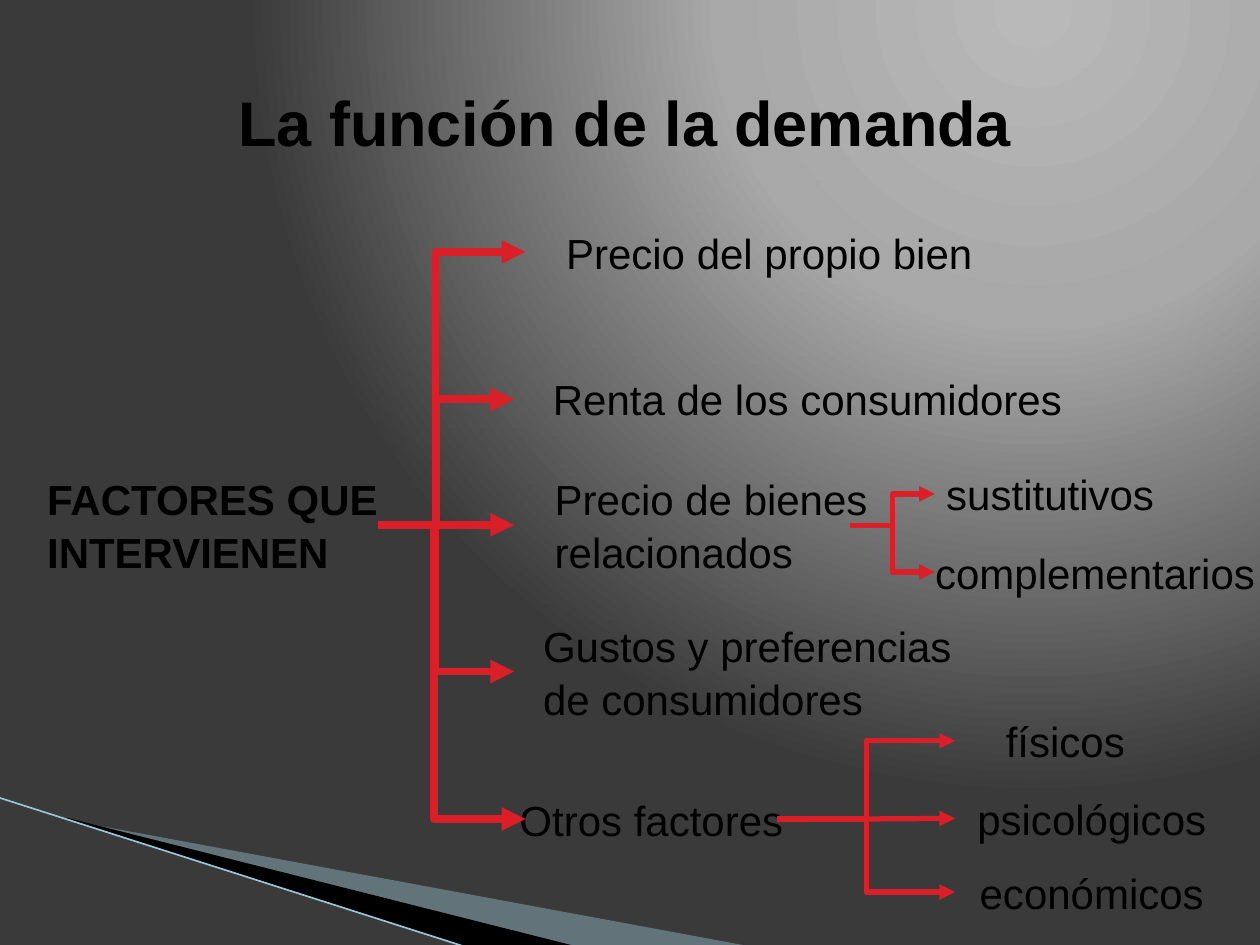
from lxml import etree
from pptx import Presentation
from pptx import util as u
from pptx.dml.color import RGBColor
from pptx.enum import shapes, text
from pptx.oxml import parse_xml
from pptx.oxml.ns import nsdecls, qn

Inches = u.Inches
THEME = {
    "font": "Arial", "title": 36, "body": 24, "ink": "000000",
    "arrow": "DA1F28", "thick": 4.5, "thin": 3,
    "wave": "A0CBDC", "edge": "97C5D8",
    "glow": [(0, "B9B9B9"), (40, "A8A8A8"), (100, "3A3A3A")],
}


def write(box, lines, size, bold, align):
    frame = box.text_frame
    settings = {"word_wrap": False, "auto_size": text.MSO_AUTO_SIZE.NONE,
                "vertical_anchor": text.MSO_ANCHOR.MIDDLE}
    for name, value in settings.items():
        setattr(frame, name, value)
    for number, line in enumerate(lines):
        para = frame.add_paragraph() if number else frame.paragraphs[0]
        para.alignment = align
        para.space_before = u.Pt(1.5 if number else 0)
        span = para.add_run()
        span.text = line
        formats = {"name": THEME["font"], "size": u.Pt(size), "bold": bold}
        for name, value in formats.items():
            setattr(span.font, name, value)
        span.font.color.rgb = RGBColor.from_string(THEME["ink"])


def draw_line(kind, start, end, color, width):
    line = page.shapes.add_connector(kind, *map(Inches, start + end))
    line.line.color.rgb = RGBColor.from_string(color)
    line.line.width = u.Pt(width)
    etree.SubElement(line._element.spPr, qn("a:effectLst"))
    return line


deck = Presentation()
deck.slide_width, deck.slide_height = Inches(10), Inches(7.5)
page = deck.slides.add_slide(deck.slide_layouts[5])

# Background: glow from the upper right
stops = "".join(f'<a:gs pos="{pos * 1000}"><a:srgbClr val="{color}"/></a:gs>'
                for pos, color in THEME["glow"])
page._element.cSld.insert(0, parse_xml(
    f'<p:bg {nsdecls("p", "a")}><p:bgPr><a:gradFill rotWithShape="1">'
    f'<a:gsLst>{stops}</a:gsLst><a:path path="circle">'
    '<a:fillToRect l="65000" t="0" r="0" b="98000"/></a:path></a:gradFill>'
    '<a:effectLst/></p:bgPr></p:bg>'))

# Waves in the lower left corner
waves = [
    ([(0.55, 6.51), (5.95, 7.51), (4.56, 7.51), (0.55, 6.5)], THEME["wave"], 40),
    ([(0.53, 6.49), (4.57, 7.51), (3.72, 7.52), (0.54, 6.5)], THEME["ink"], 100),
]
for points, color, alpha in waves:
    corners = [(Inches(x), Inches(y)) for x, y in points]
    builder = page.shapes.build_freeform(*corners[0])
    builder.add_line_segments(corners[1:])
    wave = builder.convert_to_shape()
    wave.shadow.inherit = False
    wave.line.fill.background()
    wave.fill.solid()
    wave.fill.fore_color.rgb = RGBColor.from_string(color)
    if alpha < 100:
        tint = wave._element.spPr.find(".//" + qn("a:srgbClr"))
        etree.SubElement(tint, qn("a:alpha"), val=str(alpha * 1000))
draw_line(shapes.MSO_CONNECTOR.STRAIGHT, (-0.01, 6.33), (3.71, 7.52),
          THEME["edge"], 0.95)

# Title
title = page.shapes.title
for name, value in zip(("left", "top", "width", "height"), (1.25, 0.42, 7.42, 1.08)):
    setattr(title, name, Inches(value))
write(title, ["La función de la demanda"], THEME["title"], True,
      text.PP_ALIGN.CENTER)

# Labels: key, place, lines, left indent, alignment
LEFT, CENTER = text.PP_ALIGN.LEFT, text.PP_ALIGN.CENTER
labels = [
    ("factors", (0.17, 3.08, 2.83, 2.17), ["FACTORES QUE", "INTERVIENEN"], 0, LEFT),
    ("price", (4.17, 1.67, 3.5, 0.67), ["Precio del propio bien"], 0.19, LEFT),
    ("income", (4.25, 2.75, 3.67, 0.83), ["Renta de los consumidores"], 0, LEFT),
    ("related", (4.08, 3.83, 2.67, 0.67), ["Precio de bienes", "relacionados"], 0.19, LEFT),
    ("tastes", (4.08, 4.92, 3.67, 0.83), ["Gustos y preferencias", "de consumidores"], 0.09, LEFT),
    ("others", (4.17, 6.17, 2, 0.67), ["Otros factores"], 0, CENTER),
    ("substitutes", (7.42, 3.58, 1.83, 0.67), ["sustitutivos"], 0, CENTER),
    ("complements", (7.42, 4.17, 2.17, 0.75), ["complementarios"], 0.37, CENTER),
    ("physical", (7.58, 5.67, 1.75, 0.42), ["físicos"], 0, CENTER),
    ("psychological", (7.58, 6.33, 2.17, 0.33), ["psicológicos"], 0, CENTER),
    ("economic", (7.58, 6.92, 2.17, 0.33), ["económicos"], 0, CENTER),
]
boxes = {}
for key, place, lines, indent, align in labels:
    box = page.shapes.add_shape(shapes.MSO_SHAPE.ROUNDED_RECTANGLE,
                                *map(Inches, place))
    box.shadow.inherit = False
    box.fill.background()
    box.line.fill.background()
    box.text_frame.margin_left = Inches(0.1 + indent)
    write(box, lines, THEME["body"], key == "factors", align)
    boxes[key] = box

# Arrows: source, line width, target ends with the bend as a share of the width
branches = [
    ("factors", THEME["thick"], [("price", 4.17, 2, 0.39), ("income", 4.08, 3.17, 0.43),
                                 ("related", 4.08, 4.17, None),
                                 ("tastes", 4.08, 5.33, 0.42), ("others", 4.17, 6.5, 0.38)]),
    ("related", THEME["thin"], [("substitutes", 7.42, 3.92, 0.5),
                                ("complements", 7.42, 4.54, 0.5)]),
    ("others", THEME["thin"], [("physical", 7.58, 5.88, 0.5),
                               ("psychological", 7.58, 6.5, None),
                               ("economic", 7.58, 7.08, 0.5)]),
]
starts = {"factors": (3, 4.17), "related": (6.75, 4.17), "others": (6.17, 6.5)}
for source, width, targets in branches:
    for target, x, y, bend in targets:
        kind = shapes.MSO_CONNECTOR.ELBOW if bend else shapes.MSO_CONNECTOR.STRAIGHT
        arrow = draw_line(kind, starts[source], (x, y), THEME["arrow"], width)
        etree.SubElement(arrow.line._get_or_add_ln(), qn("a:tailEnd"), type="triangle")
        if bend:
            guides = arrow._element.spPr.find(".//" + qn("a:avLst"))
            etree.SubElement(guides, qn("a:gd"), name="adj1",
                             fmla=f"val {round(bend * 100000)}")
        else:
            arrow.begin_connect(boxes[source], 3)
            arrow.end_connect(boxes[target], 1)

deck.save("out.pptx")
